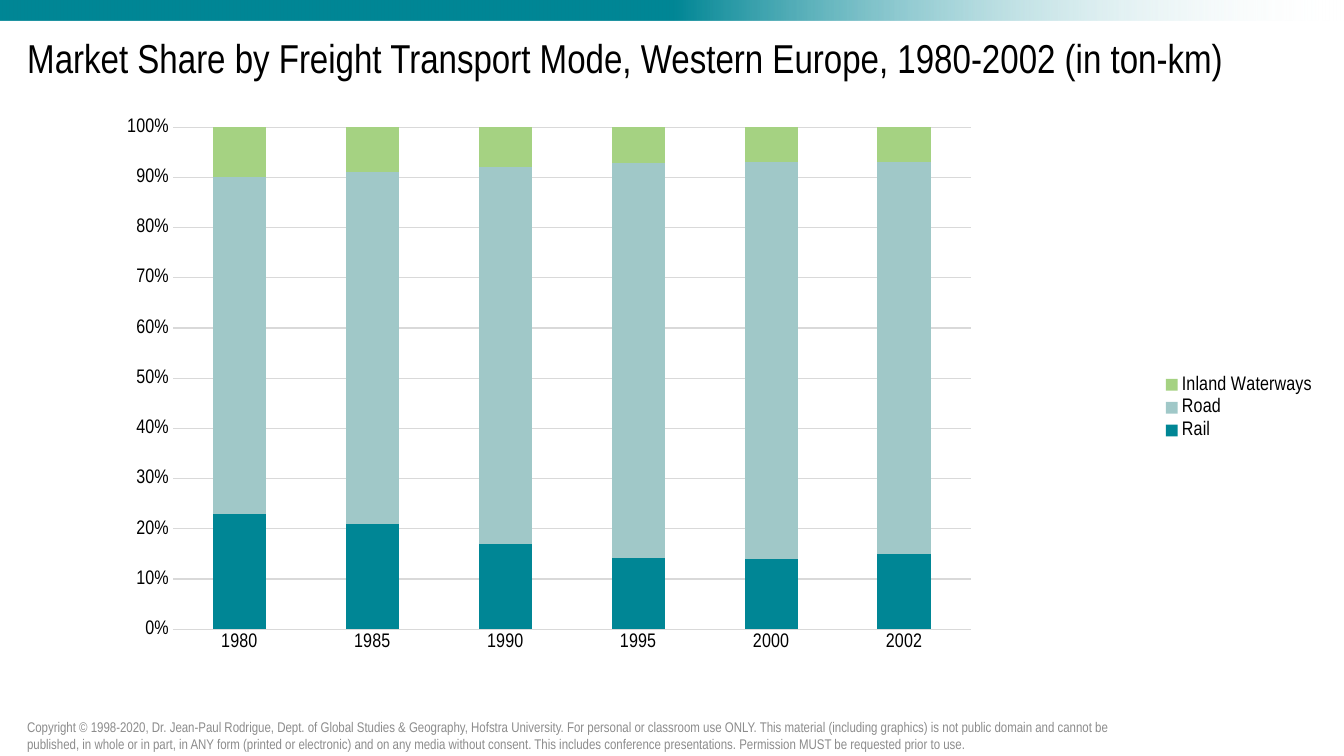
from lxml import etree
from pptx import Presentation
from pptx.chart.data import CategoryChartData
from pptx.dml.color import RGBColor
from pptx.enum.chart import XL_CHART_TYPE, XL_LEGEND_POSITION, XL_TICK_MARK
from pptx.enum.shapes import MSO_SHAPE
from pptx.enum.text import MSO_ANCHOR, MSO_AUTO_SIZE, PP_ALIGN
from pptx.oxml import parse_xml
from pptx.oxml.ns import nsdecls, qn
from pptx.util import Inches, Pt

STACKED = XL_CHART_TYPE.COLUMN_STACKED_100
LEGEND_RIGHT = XL_LEGEND_POSITION.RIGHT
NO_TICK = XL_TICK_MARK.NONE
RECTANGLE = MSO_SHAPE.RECTANGLE
MIDDLE = MSO_ANCHOR.MIDDLE
NO_AUTOFIT = MSO_AUTO_SIZE.NONE
LEFT = PP_ALIGN.LEFT

TEAL = RGBColor(0x00, 0x86, 0x95)
PALE_TEAL = RGBColor(0xA0, 0xC8, 0xC8)
GREEN = RGBColor(0xA5, 0xD2, 0x82)
BLACK = RGBColor(0x00, 0x00, 0x00)
WHITE = RGBColor(0xFF, 0xFF, 0xFF)
GRID_GREY = RGBColor(0xD9, 0xD9, 0xD9)
NOTICE_GREY = RGBColor(0x8C, 0x8C, 0x8C)

FONT = "Arial Narrow"
SLIDE_WIDTH, SLIDE_HEIGHT = 13.33, 7.5
MARGIN = 0.17
BAND_HEIGHT = 0.2

TITLE = "Market Share by Freight Transport Mode, Western Europe, 1980-2002 (in ton-km)"
COPYRIGHT = (
    "Copyright © 1998-2020, Dr. Jean-Paul Rodrigue, Dept. of Global Studies & Geography, "
    "Hofstra University. For personal or classroom use ONLY. This material (including graphics) "
    "is not public domain and cannot be published, in whole or in part, in ANY form (printed or "
    "electronic) and on any media without consent. This includes conference presentations. "
    "Permission MUST be requested prior to use."
)
YEARS = ["1980", "1985", "1990", "1995", "2000", "2002"]
MODES = [
    ("Rail", TEAL, [23, 21, 17, 14, 14, 15]),
    ("Road", PALE_TEAL, [67, 70, 75, 78, 79, 78]),
    ("Inland Waterways", GREEN, [10, 9, 8, 7, 7, 7]),
]
PLOT_AREA = {"x": 0.119, "y": 0.043, "w": 0.609, "h": 0.818}


def apply_format(target, values):
    for attribute, value in values.items():
        setattr(target, attribute, value)


def style_font(font, size, color):
    apply_format(font, {"name": FONT, "size": Pt(size), "bold": False})
    font.color.rgb = color


def style_line(line):
    line.color.rgb = GRID_GREY
    line.width = Pt(0.75)


def write_text(frame, text, size, color, spacing):
    apply_format(frame, {"word_wrap": True, "auto_size": NO_AUTOFIT, "vertical_anchor": MIDDLE})
    frame.text = text
    paragraph = frame.paragraphs[0]
    apply_format(paragraph, {"alignment": LEFT, "line_spacing": spacing})
    style_font(paragraph.runs[0].font, size, color)


def add_band(slide, box):
    band = slide.shapes.add_shape(RECTANGLE, *map(Inches, box))
    band.shadow.inherit = False
    band.line.fill.background()
    band.fill.gradient()
    band.fill.gradient_angle = 0
    stops = band.fill.gradient_stops
    for stop, position, color in zip(stops, (0.5, 1), (TEAL, WHITE)):
        stop.position = position
        stop.color.rgb = color
    clear_white = band._element.spPr.findall(".//" + qn("a:srgbClr"))[-1]
    etree.SubElement(clear_white, qn("a:alpha")).set("val", "0")


def add_title(slide, box):
    title = slide.shapes.title
    apply_format(title, dict(zip(("left", "top", "width", "height"), map(Inches, box))))
    write_text(title.text_frame, TITLE, 28.8, BLACK, 0.9)


def place_plot(chart):
    plot_area = chart._chartSpace.chart.plotArea
    for layout in plot_area.findall(qn("c:layout")):
        plot_area.remove(layout)
    modes = "".join(f'<c:{side}Mode val="edge"/>' for side in "xy")
    sizes = "".join(f'<c:{key} val="{value}"/>' for key, value in PLOT_AREA.items())
    plot_area.insert(0, parse_xml(
        f'<c:layout {nsdecls("c")}><c:manualLayout><c:layoutTarget val="inner"/>'
        f"{modes}{sizes}</c:manualLayout></c:layout>"
    ))


def add_share_chart(slide, box):
    shares = CategoryChartData()
    shares.categories = YEARS
    for name, _, values in MODES:
        shares.add_series(name, values)
    chart = slide.shapes.add_chart(STACKED, *map(Inches, box), shares).chart
    apply_format(chart, {"has_title": False, "has_legend": True})
    style_font(chart.font, 14, BLACK)
    apply_format(chart.legend, {"position": LEGEND_RIGHT, "include_in_layout": False})
    style_font(chart.legend.font, 14, BLACK)

    plot = chart.plots[0]
    apply_format(plot, {"gap_width": 150, "overlap": 100, "vary_by_categories": False})
    for series, (_, color, _) in zip(plot.series, MODES):
        series.format.fill.solid()
        series.format.fill.fore_color.rgb = color

    years, percent = chart.category_axis, chart.value_axis
    for axis in (years, percent):
        apply_format(axis, {"major_tick_mark": NO_TICK, "minor_tick_mark": NO_TICK})
        style_font(axis.tick_labels.font, 14, BLACK)
    style_line(years.format.line)
    apply_format(percent, {
        "minimum_scale": 0, "maximum_scale": 1, "major_unit": 0.1, "has_major_gridlines": True,
    })
    apply_format(percent.tick_labels, {"number_format": "0%", "number_format_is_linked": False})
    percent.format.line.fill.background()
    style_line(percent.major_gridlines.format.line)
    place_plot(chart)


def add_copyright(slide, box):
    notice = slide.shapes.add_textbox(*map(Inches, box))
    write_text(notice.text_frame, COPYRIGHT, 10, NOTICE_GREY, 1.0)


def main():
    presentation = Presentation()
    presentation.slide_width = Inches(SLIDE_WIDTH)
    presentation.slide_height = Inches(SLIDE_HEIGHT)
    slide = presentation.slides.add_slide(presentation.slide_layouts[5])
    content_width = SLIDE_WIDTH - 2 * MARGIN
    add_band(slide, (0, 0, SLIDE_WIDTH, BAND_HEIGHT))
    add_title(slide, (MARGIN, BAND_HEIGHT, content_width, 0.8))
    add_share_chart(slide, (MARGIN, 1, content_width, 6.09))
    add_copyright(slide, (MARGIN, 7.1, 10.95, 0.4))
    presentation.save("out.pptx")


if __name__ == "__main__":
    main()
